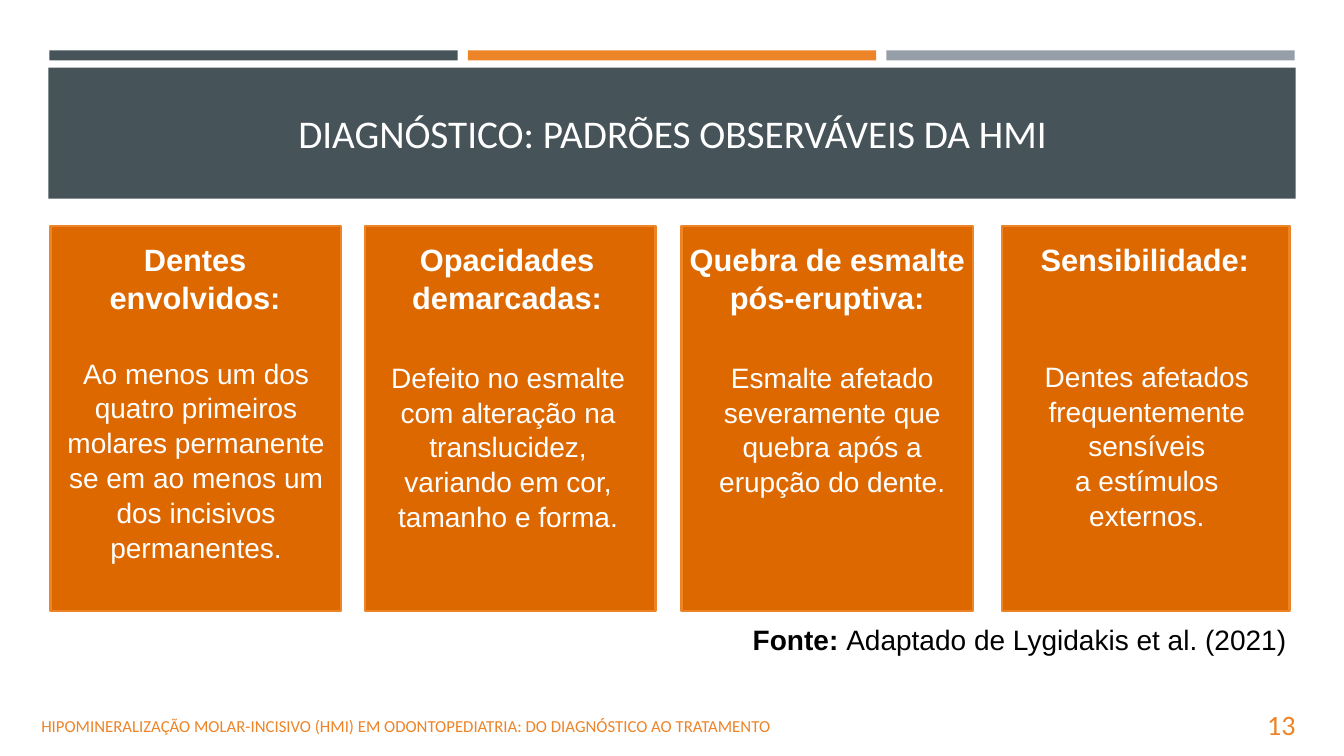
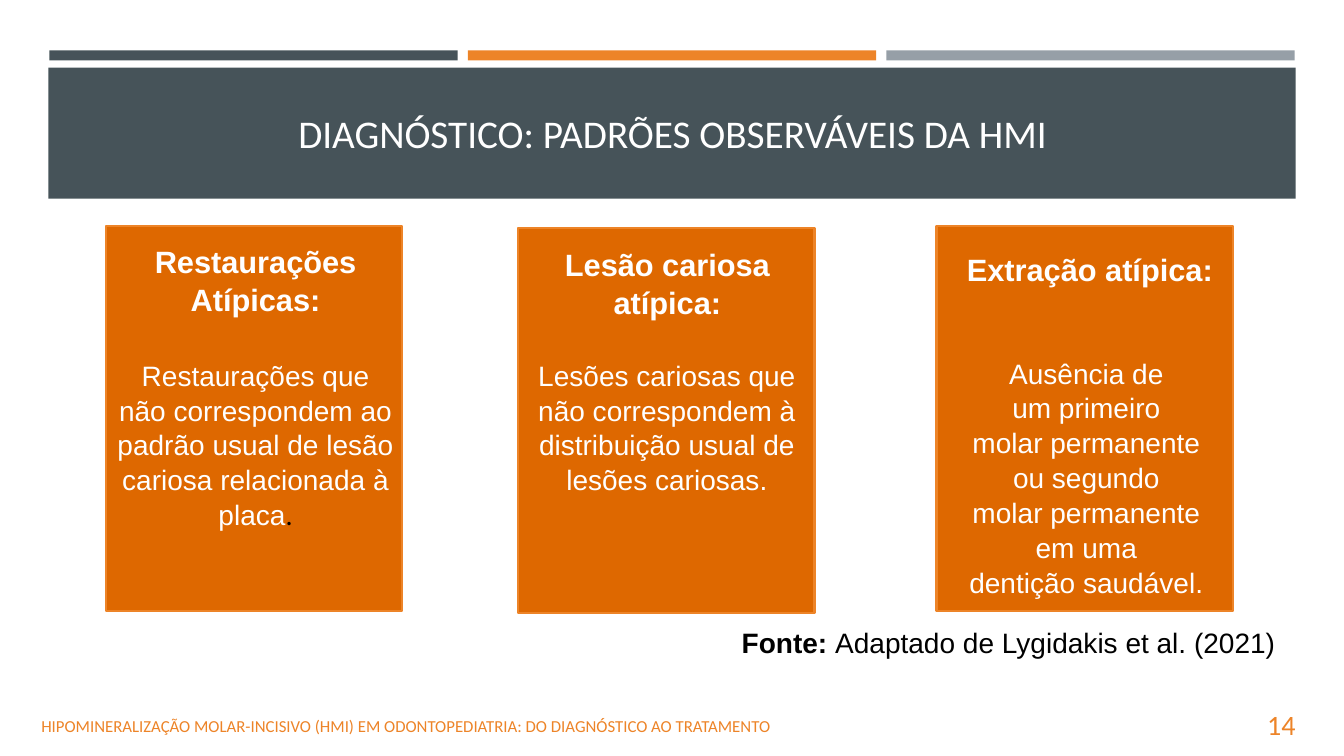
from dataclasses import dataclass

from pptx import Presentation
from pptx import util as u
from pptx.dml.color import RGBColor
from pptx.enum import shapes, text

PX = 9144  # EMU in one px, 100 px to the inch


@dataclass(frozen=True)
class Theme:
    slate: str = "465359"
    orange: str = "ED8428"
    grey: str = "969FA7"
    card: str = "DE6800"
    white: str = "FFFFFF"
    black: str = "000000"
    body_font: str = "Arial"
    title_font: str = "Calibri"
    title_size: int = 28
    heading_size: int = 22
    body_size: int = 20
    footer_size: int = 12
    outline: float = 1.75
    arial_spacing: float = 1.04


THEME = Theme()

TITLE = "DIAGNÓSTICO: PADRÕES OBSERVÁVEIS DA HMI"
FOOTER = ("HIPOMINERALIZAÇÃO MOLAR-INCISIVO (HMI) EM ODONTOPEDIATRIA: "
          "DO DIAGNÓSTICO AO TRATAMENTO")
SOURCE = ("Fonte: ", "Adaptado de Lygidakis et al. (2021)")


@dataclass(frozen=True)
class Card:
    """Each place is left, top, width in px."""
    panel: tuple
    heading_at: tuple
    heading: str
    body_at: tuple
    body: str
    full_stop: str = ""


@dataclass(frozen=True)
class Page:
    number: int
    source_at: tuple
    cards: tuple


PAGES = (
    Page(13, (698, 611, 588), (
        Card((50, 224, 288), (44, 232, 299), "Dentes\nenvolvidos:",
             (50, 347, 289),
             "Ao menos um dos quatro primeiros molares permanente\n"
             "se em ao menos um dos incisivos\npermanentes."),
        Card((362, 224, 288), (356, 232, 294), "Opacidades demarcadas:",
             (370, 351, 268),
             "Defeito no esmalte com alteração na translucidez, "
             "variando em cor, tamanho e forma."),
        Card((676, 224, 289), (670, 232, 301), "Quebra de esmalte pós-eruptiva:",
             (691, 351, 269),
             "Esmalte afetado severamente que quebra após a erupção do dente."),
        Card((994, 224, 285), (985, 232, 301), "Sensibilidade:",
             (1003, 350, 269),
             "Dentes afetados\nfrequentemente\nsensíveis\na estímulos\nexternos."),
    )),
    Page(14, (687, 614, 588), (
        Card((105, 224, 294), (104, 234, 299), "Restaurações Atípicas:",
             (105, 349, 297),
             "Restaurações que não correspondem ao padrão usual "
             "de lesão cariosa relacionada à placa", full_stop="."),
        Card((514, 226, 294), (515, 237, 294), "Lesão cariosa atípica:",
             (515, 349, 293),
             "Lesões cariosas que não correspondem à distribuição usual "
             "de lesões cariosas."),
        Card((929, 224, 294), (934, 242, 294), "Extração atípica:",
             (916, 347, 323),
             "Ausência de\num primeiro\nmolar permanente\nou segundo\n"
             "molar permanente\nem uma\ndentição saudável."),
    )),
)


def add_rect(page, left, top, width, height, fill, line=None):
    box = page.shapes.add_shape(
        shapes.MSO_SHAPE.RECTANGLE,
        left * PX, top * PX, width * PX, height * PX)
    box.shadow.inherit = False
    box.fill.solid()
    box.fill.fore_color.rgb = RGBColor.from_string(fill)
    if line:
        box.line.color.rgb = RGBColor.from_string(line)
        box.line.width = u.Pt(THEME.outline)
    else:
        box.line.fill.background()


def add_span(para, words, *, size=THEME.body_size, font=THEME.body_font,
             color=THEME.white, bold=False):
    """Add formatted text; each newline becomes a line break."""
    for index, line in enumerate(words.split("\n")):
        if index:
            para.add_line_break()
        span = para.add_run()
        span.text = line
        span.font.size = u.Pt(size)
        span.font.name = font
        span.font.bold = bold
        span.font.color.rgb = RGBColor.from_string(color)


def add_text(page, place, words, *, align=text.PP_ALIGN.CENTER,
             anchor=text.MSO_ANCHOR.TOP, inset=10, spacing=None, **style):
    """Add a wrapped text box and return its paragraph."""
    left, top, width, height = place
    box = page.shapes.add_textbox(left * PX, top * PX, width * PX, height * PX)
    frame = box.text_frame
    frame.word_wrap = True
    frame.vertical_anchor = anchor
    frame.margin_left = frame.margin_right = inset * PX
    para = frame.paragraphs[0]
    para.alignment = align
    if spacing:
        para.line_spacing = spacing
    add_span(para, words, **style)
    return para


def add_frame(page, number):
    """Draw the bands, title and footer that every slide has."""
    for index, color in enumerate((THEME.slate, THEME.orange, THEME.grey)):
        add_rect(page, 49 + index * 415, 50, 405, 10, color)
    add_rect(page, 48, 67, 1237, 130, THEME.slate)
    add_text(page, (64, 103, 1206, 57), TITLE, anchor=text.MSO_ANCHOR.BOTTOM,
             size=THEME.title_size, font=THEME.title_font)
    footer_style = dict(anchor=text.MSO_ANCHOR.MIDDLE, inset=0,
                        font=THEME.title_font, color=THEME.orange)
    add_text(page, (41, 689, 870, 62), FOOTER, align=text.PP_ALIGN.LEFT,
             size=THEME.footer_size, **footer_style)
    add_text(page, (1155, 689, 130, 60), str(number),
             align=text.PP_ALIGN.RIGHT, **footer_style)


def add_card(page, card):
    add_rect(page, *card.panel, 382, THEME.card, line=THEME.orange)
    add_text(page, (*card.heading_at, 84), card.heading, bold=True,
             size=THEME.heading_size, spacing=THEME.arial_spacing)
    body = add_text(page, (*card.body_at, 212), card.body,
                    spacing=THEME.arial_spacing)
    if card.full_stop:
        add_span(body, card.full_stop, font=THEME.title_font, color=THEME.black)


def add_source(page, place):
    label, reference = SOURCE
    para = add_text(page, (*place, 44), label, align=text.PP_ALIGN.RIGHT,
                    spacing=THEME.arial_spacing, color=THEME.black, bold=True)
    add_span(para, reference, color=THEME.black)


def main():
    deck = Presentation()
    deck.slide_width, deck.slide_height = u.Inches(13.33), u.Inches(7.5)
    for content in PAGES:
        page = deck.slides.add_slide(deck.slide_layouts[6])
        add_frame(page, content.number)
        for card in content.cards:
            add_card(page, card)
        add_source(page, content.source_at)
    deck.save("out.pptx")


if __name__ == "__main__":
    main()
